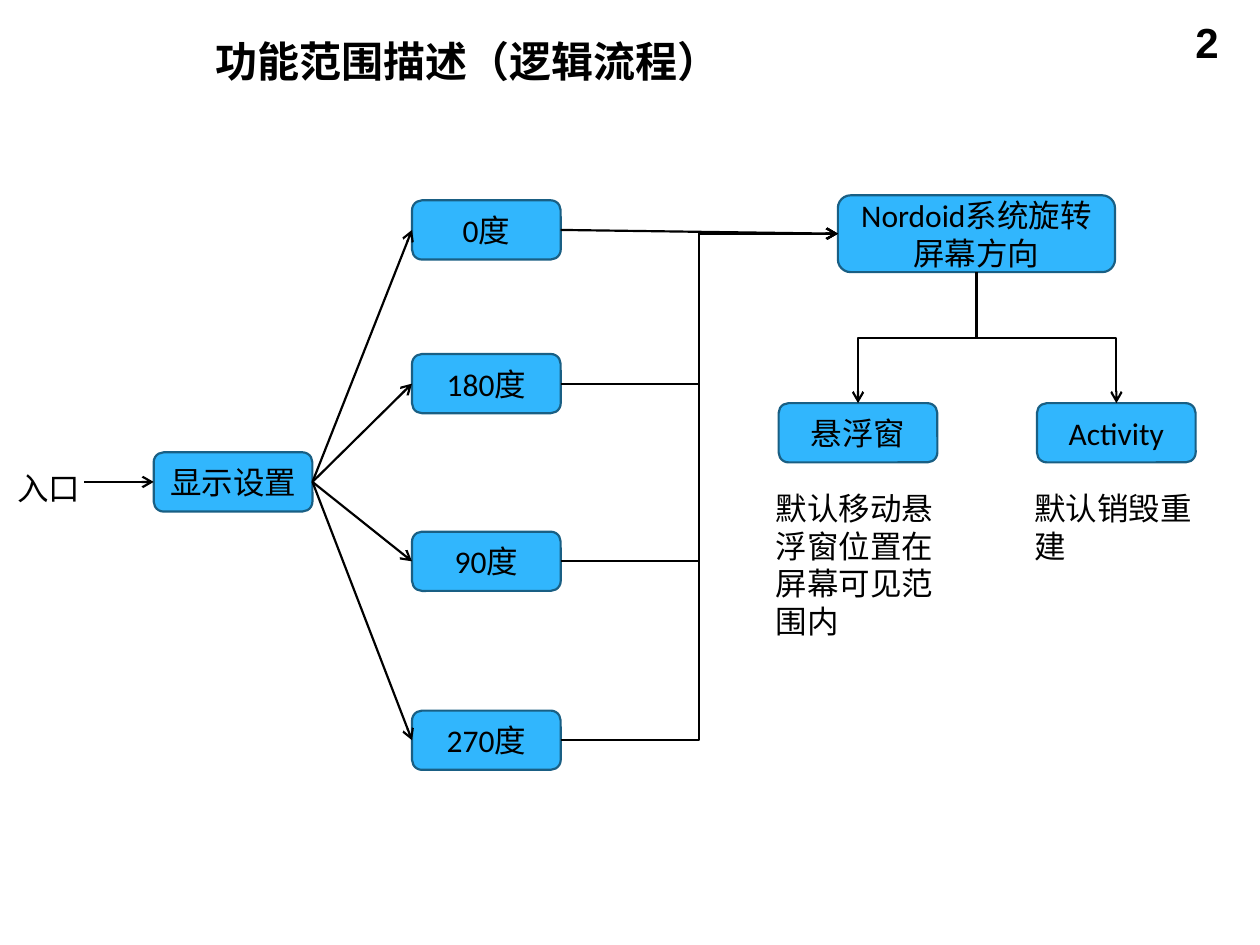
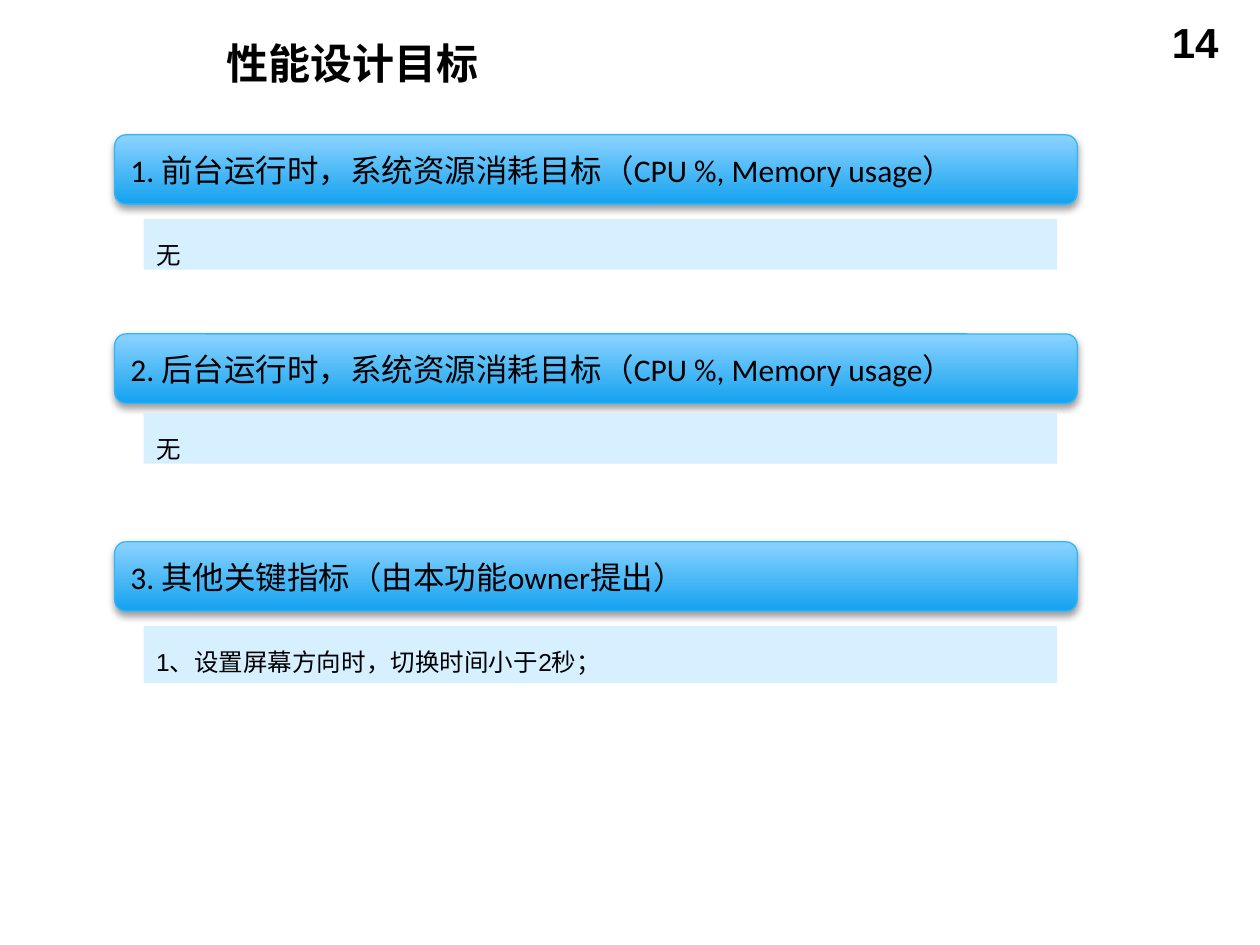
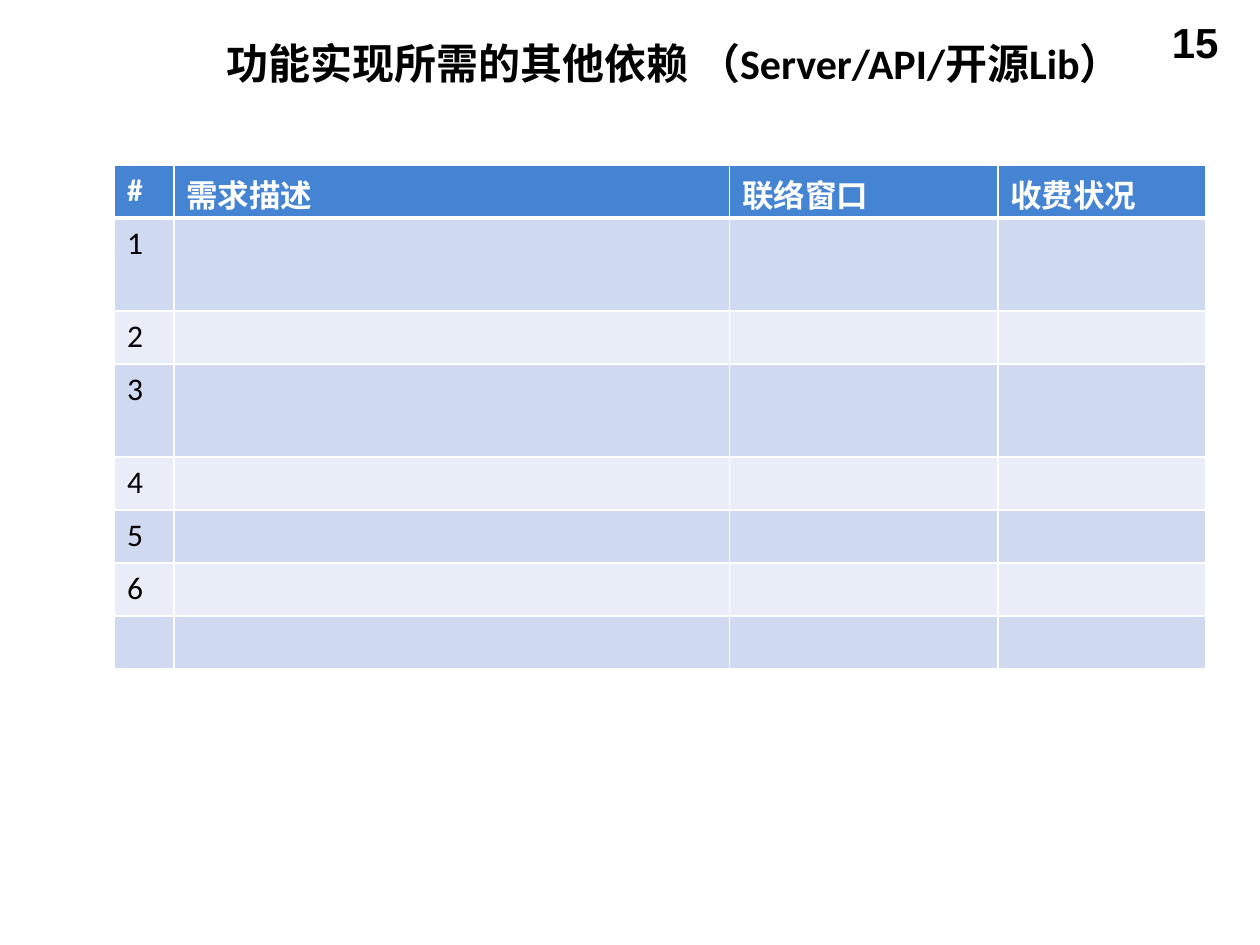
from dataclasses import dataclass

from lxml import etree
from pptx import Presentation, util as u
from pptx.dml.color import RGBColor
from pptx.enum import shapes, text
from pptx.oxml import ns

BLACK, WHITE, SKY, EDGE = "000000", "FFFFFF", "31B6FD", "195F84"
PALE, HEAD, BANDS = "D6F0FF", "4584D3", ("CFD9EF", "E9EDF7")
LATIN, SANS = "Calibri", "Arial"
KIND = shapes.MSO_SHAPE
TOP, LEFT, BOTTOM, RIGHT = range(4)


@dataclass
class Box:
    x: float
    y: float
    w: float
    h: float

    def area(self) -> list:
        return [u.Inches(v) for v in (self.x, self.y, self.w, self.h)]

    def side(self, site: int) -> tuple[float, float]:
        """Middle of the side with this connection number."""
        dx, dy = ((0.5, 0), (0, 0.5), (0.5, 1), (1, 0.5))[site]
        return self.x + self.w * dx, self.y + self.h * dy


@dataclass
class Type:
    size: float = 18
    font: str = LATIN
    color: str = BLACK
    bold: bool = False
    align: text.PP_ALIGN = text.PP_ALIGN.LEFT
    lead: float = 1.0


@dataclass
class Node:
    label: str
    box: Box


@dataclass
class Goal:
    head: str
    top: float
    note: str
    low: float
    deep: float


LABEL = Type(align=text.PP_ALIGN.CENTER)
NOTE = Type(14, SANS, lead=1.5)
TITLE = Type(24, bold=True)
PAGE = Type(24, SANS, bold=True, align=text.PP_ALIGN.RIGHT)
TITLE_BOX = Box(1.7, 0.25, 7.63, 0.5)

ENTRY = Node("显示设置", Box(1.22, 3.59, 1.26, 0.47))
ANGLES = [Node(f"{deg}度", Box(3.27, y, 1.18, 0.47))
          for deg, y in ((0, 1.59), (180, 2.81), (90, 4.22), (270, 5.64))]
SYSTEM = Node("Nordoid系统旋转屏幕方向", Box(6.65, 1.55, 2.2, 0.61))
ENDS = [(Node("悬浮窗", Box(6.18, 3.2, 1.26, 0.47)),
         "默认移动悬浮窗位置在屏幕可见范围内", 1.31),
        (Node("Activity", Box(8.23, 3.2, 1.26, 0.47)), "默认销毁重建", 0.71)]

GOALS = [
    Goal("1. 前台运行时，系统资源消耗目标（CPU %, Memory usage）", 1.07, "无", 1.74, 0.4),
    Goal("2. 后台运行时，系统资源消耗目标（CPU %, Memory usage）", 2.65, "无", 3.28, 0.4),
    Goal("3. 其他关键指标（由本功能owner提出）", 4.3,
         "1、设置屏幕方向时，切换时间小于2秒；", 4.97, 0.45),
]

FIELDS = {"#": 0.47, "需求描述": 4.41, "联络窗口": 2.13, "收费状况": 1.65}
ROWS = {"1": 0.74, "2": 0.42, "3": 0.74, "4": 0.42, "5": 0.42, "6": 0.42, "": 0.42}


def rgb(code: str) -> RGBColor:
    return RGBColor.from_string(code)


def sub(node, tag: str, **attrs):
    return etree.SubElement(node, ns.qn(tag), attrs)


def write(frame, words: str, style: Type) -> None:
    para = frame.paragraphs[0]
    para.alignment = style.align
    para.line_spacing = style.lead
    run = para.add_run()
    run.text = words
    font = run.font
    font.size, font.name, font.bold = u.Pt(style.size), style.font, style.bold
    font.color.rgb = rgb(style.color)


def label(slide, box: Box, words: str, style: Type, mid: bool = False, grow: bool = False):
    frame = slide.shapes.add_textbox(*box.area()).text_frame
    set_frame(frame, mid, grow)
    write(frame, words, style)


def set_frame(frame, mid: bool, grow: bool) -> None:
    frame.word_wrap = True
    frame.vertical_anchor = text.MSO_ANCHOR.MIDDLE if mid else text.MSO_ANCHOR.TOP
    if grow:
        frame.auto_size = text.MSO_AUTO_SIZE.SHAPE_TO_FIT_TEXT


def panel(slide, kind, box: Box, words: str, style: Type, fill: str,
          edge: str = "", width: float = 1.25, mid: bool = True):
    shape = slide.shapes.add_shape(kind, *box.area())
    shape.shadow.inherit = False
    shape.fill.solid()
    shape.fill.fore_color.rgb = rgb(fill)
    if edge:
        shape.line.color.rgb = rgb(edge)
        shape.line.width = u.Pt(width)
    else:
        shape.line.fill.background()
    set_frame(shape.text_frame, mid, not mid)
    write(shape.text_frame, words, style)
    return shape


def arrow(slide, kind, start: tuple, end: tuple):
    link = slide.shapes.add_connector(kind, *[u.Inches(v) for v in (*start, *end)])
    link.line.color.rgb = rgb(BLACK)
    link.line.width = u.Pt(1.25)
    props = link._element.spPr
    sub(props.find(ns.qn("a:ln")), "a:tailEnd", type="arrow")
    sub(props, "a:effectLst")
    return link


def straight(slide, start: tuple, end: tuple):
    return arrow(slide, shapes.MSO_CONNECTOR.STRAIGHT, start, end)


def elbow(slide, start: tuple, end: tuple):
    return arrow(slide, shapes.MSO_CONNECTOR.ELBOW, start, end)


def drop(slide, start: tuple, end: tuple) -> None:
    """Elbow that leaves downwards: a sideways elbow turned about its centre."""
    (x1, y1), (x2, y2) = start, end
    mx, my = (x1 + x2) / 2, (y1 + y2) / 2
    half, rise = (y2 - y1) / 2, abs(x2 - x1) / 2
    turn = 90
    if x2 > x1:
        half, turn = -half, 270
    link = elbow(slide, (mx - half, my - rise), (mx + half, my + rise))
    link._element.spPr.find(ns.qn("a:xfrm")).set("rot", str(turn * 60000))


def start_slide(deck, page: int):
    slide = deck.slides.add_slide(deck.slide_layouts[6])
    label(slide, Box(7.44, 0.08, 2.33, 0.52), str(page), PAGE)
    return slide


def add_flow(deck) -> None:
    slide = start_slide(deck, 2)
    label(slide, Box(1.61, 0.21, 8.19, 0.55), "功能范围描述（逻辑流程）",
          Type(24, SANS, bold=True), mid=True)

    def node(item: Node):
        return panel(slide, KIND.ROUNDED_RECTANGLE, item.box, item.label, LABEL, SKY, EDGE)

    entry, system = node(ENTRY), node(SYSTEM)
    label(slide, Box(0.04, 3.67, 0.75, 0.4), "入口", Type(font=SANS), grow=True)
    door = ENTRY.box.side(LEFT)
    straight(slide, (0.67, door[1]), door).end_connect(entry, LEFT)

    goal = SYSTEM.box.side(LEFT)
    for i, item in enumerate(ANGLES):
        shape = node(item)
        link = straight(slide, ENTRY.box.side(RIGHT), item.box.side(LEFT))
        link.begin_connect(entry, RIGHT)
        link.end_connect(shape, LEFT)
        if i:
            elbow(slide, item.box.side(RIGHT), goal)
        else:
            link = straight(slide, item.box.side(RIGHT), goal)
            link.begin_connect(shape, RIGHT)
            link.end_connect(system, LEFT)

    for item, note, deep in ENDS:
        node(item)
        drop(slide, SYSTEM.box.side(BOTTOM), item.box.side(TOP))
        label(slide, Box(item.box.x - 0.12, 3.83, 1.5, deep), note, Type(font=SANS), grow=True)


def add_gloss(shape) -> None:
    """Blue gradient from top to bottom, with a soft shadow below."""
    shape.fill.gradient()
    shape.fill.gradient_angle = 270
    for stop, code, place in zip(shape.fill.gradient_stops, ("8CD3FF", "14A2EF"), (0, 1)):
        stop.color.rgb = rgb(code)
        stop.position = place
    effect = shape._element.spPr.find(ns.qn("a:effectLst"))
    shade = sub(effect, "a:outerShdw", blurRad=str(u.Pt(4)), dist=str(u.Pt(2)),
                dir="5400000", rotWithShape="0")
    sub(sub(shade, "a:srgbClr", val=BLACK), "a:alpha", val="38000")


def add_goals(deck) -> None:
    slide = start_slide(deck, 14)
    label(slide, TITLE_BOX, "性能设计目标", TITLE, grow=True)
    for goal in GOALS:
        add_gloss(panel(slide, KIND.ROUNDED_RECTANGLE, Box(0.91, goal.top, 7.64, 0.55),
                        goal.head, Type(), SKY, SKY, 0.75))
        panel(slide, KIND.RECTANGLE, Box(1.14, goal.low, 7.25, goal.deep),
              goal.note, NOTE, PALE, mid=False)


def paint(cell, fill: str, base: float) -> None:
    """Fill a cell and rule it in white; base is the width of the lower rule."""
    props = cell._tc.get_or_add_tcPr()
    for tag, width in (("a:lnL", 1), ("a:lnR", 1), ("a:lnT", 1), ("a:lnB", base)):
        rule = sub(props, tag, w=str(u.Pt(width)))
        sub(sub(rule, "a:solidFill"), "a:srgbClr", val=WHITE)
    cell.fill.solid()
    cell.fill.fore_color.rgb = rgb(fill)


def add_needs(deck) -> None:
    slide = start_slide(deck, 15)
    label(slide, TITLE_BOX, "功能实现所需的其他依赖 （Server/API/开源Lib）", TITLE, grow=True)
    highs = [0.42, *ROWS.values()]
    box = Box(0.91, 1.31, sum(FIELDS.values()), sum(highs))
    grid = slide.shapes.add_table(len(highs), len(FIELDS), *box.area()).table
    for col, width in zip(grid.columns, FIELDS.values()):
        col.width = u.Inches(width)
    for row, high in zip(grid.rows, highs):
        row.height = u.Inches(high)
    lines = [list(FIELDS)] + [[num, "", "", ""] for num in ROWS]
    for r, line in enumerate(lines):
        for c, words in enumerate(line):
            cell = grid.cell(r, c)
            paint(cell, BANDS[(r - 1) % 2] if r else HEAD, 1 if r else 3)
            if words:
                write(cell.text_frame, words, Type() if r else Type(color=WHITE, bold=True))


def main() -> None:
    deck = Presentation()
    deck.slide_width, deck.slide_height = u.Inches(10), u.Inches(7.5)
    add_flow(deck)
    add_goals(deck)
    add_needs(deck)
    deck.save("out.pptx")


if __name__ == "__main__":
    main()
